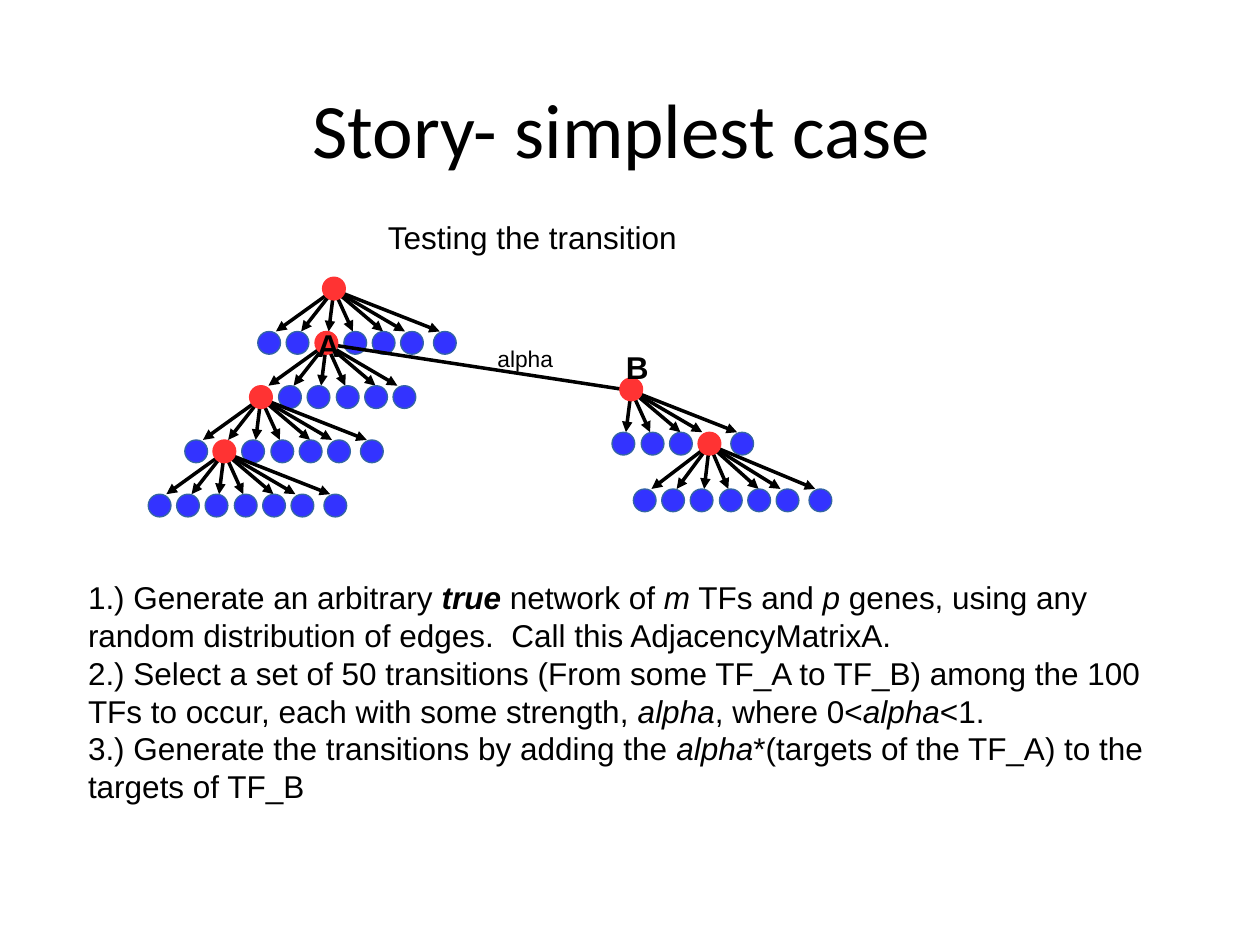
from dataclasses import dataclass

from lxml import etree
from pptx import Presentation
from pptx.dml.color import RGBColor
from pptx.enum.shapes import MSO_CONNECTOR, MSO_SHAPE
from pptx.enum.text import MSO_ANCHOR, MSO_AUTO_SIZE, PP_ALIGN
from pptx.oxml.ns import qn
from pptx.util import Pt

STRAIGHT = MSO_CONNECTOR.STRAIGHT
ELLIPSE = MSO_SHAPE.OVAL
TOP, MIDDLE = MSO_ANCHOR.TOP, MSO_ANCHOR.MIDDLE
LEFT, CENTER = PP_ALIGN.LEFT, PP_ALIGN.CENTER
GROW = MSO_AUTO_SIZE.SHAPE_TO_FIT_TEXT


@dataclass(frozen=True)
class Theme:
    ink: RGBColor = RGBColor(0, 0, 0)
    regulator: RGBColor = RGBColor(0xFF, 0x33, 0x33)
    gene: RGBColor = RGBColor(0x33, 0x33, 0xFF)
    gene_edge: RGBColor = RGBColor(0x34, 0x65, 0xA4)
    title_font: str = "Calibri"
    body_font: str = "Arial"
    title_size: float = 44
    body_size: float = 18
    small_size: float = 13


THEME = Theme()
PLAIN, ITALIC, BOLD = {}, {"italic": True}, {"bold": True}
BOLD_ITALIC = {"bold": True, "italic": True}

# Network geometry: seven slots below every regulator
DOT = 13
HUB_DROP = 7.2
SLOTS = (-37, -20.8, -4.5, 12.2, 28.4, 44.6, 63.4)
TIPS = (-33.1, -18.7, -3, 10.8, 28.1, 40.6, 60.5)
ROW = 31


@dataclass(frozen=True)
class Tree:
    left: float
    top: float
    slots: range
    regulator_slot: int = -1  # slot taken by the next regulator
    drop: float = ROW

    @property
    def origin(self):
        return self.left + DOT / 2, self.top + HUB_DROP


FIRST_ROW = 158.4
ROOT = Tree(184.3, FIRST_ROW, range(7), 2)
TREE_A = Tree(180, FIRST_ROW + ROW, range(6), 0)
TREE_B = Tree(354.2, 216, range(2, 7), 5)
NETWORK = (
    ROOT,
    TREE_A,
    Tree(142.6, FIRST_ROW + 2 * ROW, range(7), 1),
    TREE_B,
    Tree(398.9, 216 + ROW, range(7), drop=32.4),
    Tree(121.7, FIRST_ROW + 3 * ROW, range(7)),
)

STEPS = (
    (("1.) Generate an arbitrary ", PLAIN), ("true", BOLD_ITALIC),
     (" network of ", PLAIN), ("m", ITALIC), (" TFs and ", PLAIN), ("p", ITALIC),
     (" genes, using any random distribution of edges.  "
      "Call this AdjacencyMatrixA.", PLAIN)),
    (("2.) Select a set of 50 transitions (From some TF_A to TF_B) among the "
      "100 TFs to occur, each with some strength, ", PLAIN), ("alpha", ITALIC),
     (", where 0<", PLAIN), ("alpha", ITALIC), ("<1.", PLAIN)),
    (("3.) Generate the transitions by adding the ", PLAIN), ("alpha", ITALIC),
     ("*(targets of the TF_A) to the targets of TF_B", PLAIN)),
)


def add_text(page, place, paragraphs, size=THEME.body_size, font=THEME.body_font,
             wrap=True, align=LEFT, anchor=TOP, insets=(7.2, 3.6)):
    box = page.shapes.add_textbox(*map(Pt, place))
    across, down = map(Pt, insets)
    frame_format = {
        "word_wrap": wrap, "auto_size": GROW, "vertical_anchor": anchor,
        "margin_left": across, "margin_right": across,
        "margin_top": down, "margin_bottom": down,
    }
    for name, value in frame_format.items():
        setattr(box.text_frame, name, value)
    for index, spans in enumerate(paragraphs):
        para = box.text_frame.add_paragraph() if index else box.text_frame.paragraphs[0]
        para.alignment = align
        for text, style in spans:
            span = para.add_run()
            span.text = text
            span.font.color.rgb = THEME.ink
            for name, value in {"name": font, "size": Pt(size), **style}.items():
                setattr(span.font, name, value)


def add_arrow(page, start, end):
    arrow = page.shapes.add_connector(STRAIGHT, *map(Pt, (*start, *end)))
    arrow.line.color.rgb = THEME.ink
    arrow.line.width = Pt(0)
    etree.SubElement(arrow.line._get_or_add_ln(), qn("a:tailEnd"), type="triangle")
    etree.SubElement(arrow._element.spPr, qn("a:effectLst"))


def add_dot(page, left, top, fill, edge):
    dot = page.shapes.add_shape(ELLIPSE, *map(Pt, (left, top, DOT, DOT)))
    dot.shadow.inherit = False
    dot.fill.solid()
    dot.fill.fore_color.rgb = fill
    dot.line.color.rgb = edge
    dot.line.width = Pt(0)


def add_tree(page, tree):
    row_top = tree.top + tree.drop
    for slot in tree.slots:
        add_arrow(page, tree.origin, (tree.origin[0] + TIPS[slot], row_top))
    for slot in tree.slots:
        if slot != tree.regulator_slot:
            add_dot(page, tree.left + SLOTS[slot], row_top, THEME.gene, THEME.gene_edge)
    add_dot(page, tree.left, tree.top, THEME.regulator, THEME.regulator)


def main():
    deck = Presentation()
    deck.slide_width, deck.slide_height = Pt(720), Pt(540)
    page = deck.slides.add_slide(deck.slide_layouts[6])

    # Title
    add_text(page, (49, 15.1, 612, 116), [[("Story- simplest case", PLAIN)]],
             THEME.title_size, THEME.title_font, align=CENTER, anchor=MIDDLE,
             insets=(0, 0))

    # Network, with the transition from A to B
    for tree in NETWORK:
        if tree is TREE_A:
            add_arrow(page, TREE_A.origin, TREE_B.origin)
        add_tree(page, tree)

    # Labels
    add_text(page, (214.6, 121, 181.4, 27.4), [[("Testing the transition", PLAIN)]])
    add_text(page, (350.6, 195.1, 27.4, 27.4), [[("B", BOLD)]], wrap=False)
    add_text(page, (174.2, 182.9, 27.4, 27.4), [[("A", BOLD)]], wrap=False)
    add_text(page, (277.2, 193.7, 46.1, 21.6), [[("alpha", PLAIN)]],
             THEME.small_size, wrap=False)

    # Steps
    add_text(page, (43.2, 326.9, 625.7, 128.2), STEPS)

    deck.save("out.pptx")


if __name__ == "__main__":
    main()
